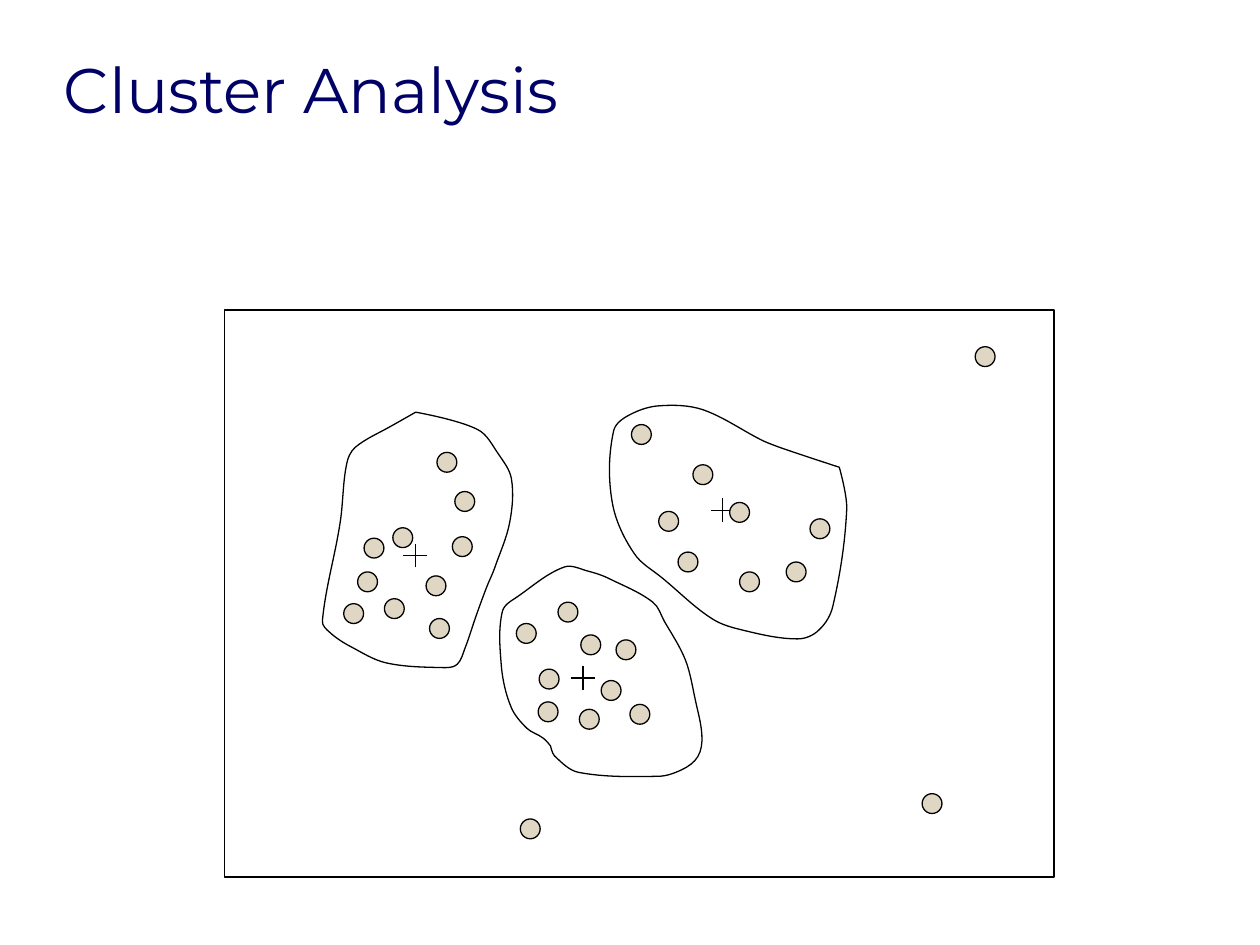
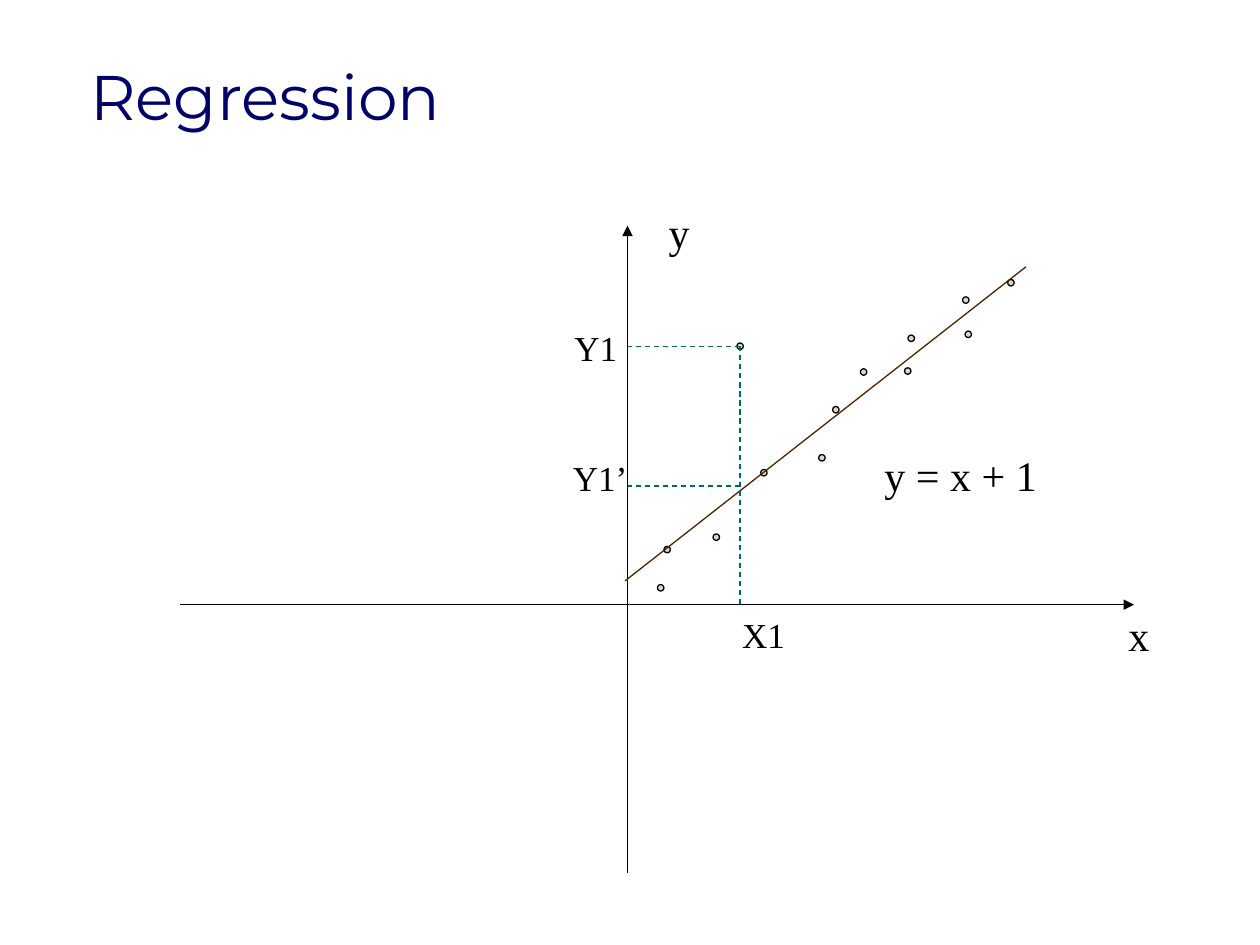
import math

import pptx
import pptx.util
import pptx.dml.color
import pptx.enum.dml
import pptx.enum.shapes
import pptx.enum.text
import pptx.oxml.ns
import lxml.etree

Cm, Pt = pptx.util.Cm, pptx.util.Pt
RGB = pptx.dml.color.RGBColor.from_string
qn = pptx.oxml.ns.qn
SHAPE = pptx.enum.shapes.MSO_SHAPE

# Shared look; all positions below are in cm
COLORS = {"title": "000066", "ink": "000000", "dot": "DFD6C3",
          "fit": "482400", "guide": "006666"}
LINE_WIDTH = Pt(0.74)
TITLE_FONT, LABEL_FONT = "Montserrat", "Times New Roman"


def add_text(s, text, box, size, font, color):
    """Add a one-line text box; box is left, top, width, height in cm."""
    sp = s.shapes.add_textbox(*[Cm(v) for v in box])
    tf = sp.text_frame
    tf.word_wrap = False
    tf.text = text
    r = tf.paragraphs[0].runs[0]
    r.font.size = Pt(size)
    r.font.name = font
    r.font.color.rgb = RGB(COLORS[color])
    return tf


def add_line(s, start, end, color="ink", dashed=False, arrow=False):
    """Add a straight line between two (x, y) points in cm."""
    ln = s.shapes.add_connector(pptx.enum.shapes.MSO_CONNECTOR.STRAIGHT,
                                *[Cm(v) for v in start + end])
    ln.line.color.rgb = RGB(COLORS[color])
    ln.line.width = LINE_WIDTH
    if dashed:
        ln.line.dash_style = pptx.enum.dml.MSO_LINE.DASH
    spPr = ln._element.spPr
    if arrow:
        lxml.etree.SubElement(spPr.find(qn("a:ln")), qn("a:tailEnd"), type="triangle")
    lxml.etree.SubElement(spPr, qn("a:effectLst"))


prs = pptx.Presentation()
prs.slide_width, prs.slide_height = Cm(25.4), Cm(19.05)

# Both slides and their titles
titles = [("Cluster Analysis", (1.04, 0.97, 12.07, 1.7)),
          ("Regression", (1.57, 1.35, 14.73, 1.47))]
for text, box in titles:
    s = prs.slides.add_slide(prs.slide_layouts[6])
    tf = add_text(s, text, box, 36, TITLE_FONT, "title")
    tf.word_wrap = True
    tf.vertical_anchor = pptx.enum.text.MSO_ANCHOR.BOTTOM
    tf.margin_top, tf.margin_bottom = 0, Cm(0.13)
cluster_slide, regression_slide = prs.slides

# ---- Slide 1: each cluster has a centre mark, member dots and an outline.
# An outline lists the points it passes through; the first one is a sharp corner.
clusters = {
    "left": {
        "centre": (8.37, 11.2),
        "dots": [(9.01, 9.32), (9.37, 10.11), (8.12, 10.84), (9.32, 11.02),
                 (7.54, 11.05), (7.41, 11.73), (8.79, 11.81), (7.95, 12.27),
                 (7.13, 12.37), (8.86, 12.67)],
        "outline": [(8.38, 8.31), (9.63, 8.66), (10.06, 9.17), (10.31, 9.65),
                    (10.27, 10.56), (9.98, 11.43), (9.83, 11.79), (9.58, 12.47),
                    (9.37, 13.08), (9.22, 13.39), (8.97, 13.46), (7.77, 13.36),
                    (7.06, 13.03), (6.65, 12.75), (6.5, 12.52), (6.86, 10.52),
                    (6.99, 9.35), (7.16, 9.02), (7.85, 8.61)]},
    "right": {
        "centre": (14.57, 10.29),
        "dots": [(12.93, 8.76), (14.17, 9.57), (14.91, 10.33), (13.48, 10.51),
                 (16.53, 10.66), (13.87, 11.33), (16.05, 11.53), (15.11, 11.73)],
        "outline": [(16.92, 9.42), (17.07, 10.26), (16.79, 12.22), (16.51, 12.7),
                    (16.08, 12.88), (14.96, 12.7), (14.35, 12.47), (13.36, 11.66),
                    (12.78, 11.15), (12.34, 10.11), (12.37, 8.69), (12.7, 8.36),
                    (13.31, 8.18), (14.17, 8.26), (15.39, 8.89), (15.72, 9.02)]},
    "lower": {
        "centre": (11.75, 13.67),
        "dots": [(11.45, 12.34), (10.61, 12.77), (11.91, 13), (12.62, 13.1),
                 (11.07, 13.69), (12.32, 13.92), (11.05, 14.35), (12.9, 14.4),
                 (11.88, 14.5)],
        "outline": [(11.1, 15.04), (10.95, 14.88), (10.62, 14.68), (10.31, 14.27),
                    (10.11, 13.46), (10.13, 12.32), (10.46, 12.01), (11.38, 11.43),
                    (11.84, 11.51), (12.27, 11.66), (13.16, 12.14), (13.39, 12.52),
                    (13.82, 13.31), (14.02, 14.12), (14.15, 14.83), (14.07, 15.25),
                    (13.74, 15.52), (13.26, 15.65), (11.66, 15.57), (11.18, 15.24)]},
}
outliers = [(19.86, 7.19), (18.79, 16.2), (10.69, 16.71)]
MARK_ARM = 0.24

frame = cluster_slide.shapes.add_shape(SHAPE.RECTANGLE, Cm(4.53), Cm(6.25),
                                       Cm(16.72), Cm(11.43))
hollow = [frame]
cluster_dots = list(outliers)
for cluster in clusters.values():
    cluster_dots += cluster["dots"]

    # Centre mark
    x, y = cluster["centre"]
    add_line(cluster_slide, (x - MARK_ARM, y), (x + MARK_ARM, y))
    add_line(cluster_slide, (x, y + MARK_ARM), (x, y - MARK_ARM))

    # The curve runs at each point parallel to the chord between its neighbours
    outline = cluster["outline"]
    count = len(outline)
    directions = [(0, 0)]
    for i in range(1, count):
        (x0, y0), (x1, y1) = outline[i - 1], outline[(i + 1) % count]
        length = math.hypot(x1 - x0, y1 - y0)
        directions.append(((x1 - x0) / length, (y1 - y0) / length))

    # Each curve has two handles, a third of its chord long, and an end point
    curve_points = []
    for i in range(count):
        j = (i + 1) % count
        (x0, y0), (x1, y1) = outline[i], outline[j]
        handle = math.hypot(x1 - x0, y1 - y0) / 3
        curve_points += [
            (x0 + handle * directions[i][0], y0 + handle * directions[i][1]),
            (x1 - handle * directions[j][0], y1 - handle * directions[j][1]),
            (x1, y1)]

    # Draw straight segments on a 0.01 cm grid, then join each three into a curve
    grid_points = [(round(100 * x), round(100 * y)) for x, y in outline[:1] + curve_points]
    builder = cluster_slide.shapes.build_freeform(*grid_points[0], scale=Cm(0.01))
    builder.add_line_segments(grid_points[1:], close=True)
    sp = builder.convert_to_shape()
    segments = list(sp._element.iter(qn("a:lnTo")))
    for i in range(0, len(segments), 3):
        curve = lxml.etree.Element(qn("a:cubicBezTo"))
        segments[i].addprevious(curve)
        for segment in segments[i:i + 3]:
            curve.append(segment[0])
            segment.getparent().remove(segment)
    hollow.append(sp)
for sp in hollow:
    sp.fill.background()

# ---- Slide 2: axes cross at the origin
origin_x, origin_y = 12.65, 12.19
add_line(regression_slide, (3.63, origin_y), (22.86, origin_y), arrow=True)
add_line(regression_slide, (origin_x, 17.6), (origin_x, 4.55), arrow=True)

x1, y1, y1_fitted = 14.92, 6.98, 9.8
regression_dots = [
    (x1, y1), (13.32, 11.85), (13.45, 11.08), (14.44, 10.83), (15.4, 9.53),
    (16.57, 9.23), (16.85, 8.26), (17.41, 7.5), (18.3, 7.48), (18.37, 6.82),
    (19.52, 6.74), (19.47, 6.05), (20.38, 5.7)]

# Dots of both slides, placed by their centres
outlined = list(hollow)
for s, kind, size, dots in [
        (cluster_slide, SHAPE.FLOWCHART_CONNECTOR, 0.4, cluster_dots),
        (regression_slide, SHAPE.OVAL, 0.13, regression_dots)]:
    for x, y in dots:
        sp = s.shapes.add_shape(kind, Cm(x - size / 2), Cm(y - size / 2),
                                Cm(size), Cm(size))
        sp.fill.solid()
        sp.fill.fore_color.rgb = RGB(COLORS["dot"])
        outlined.append(sp)
for sp in outlined:
    sp.line.color.rgb = RGB(COLORS["ink"])
    sp.line.width = LINE_WIDTH
    sp.shadow.inherit = False

# Fitted line, and guides from the point (X1, Y1) to the axes
add_line(regression_slide, (12.6, 11.71), (20.68, 5.38), "fit")
add_line(regression_slide, (x1, y1), (x1, origin_y), "guide", dashed=True)
for y in (y1, y1_fitted):
    add_line(regression_slide, (x1, y), (origin_x, y), "guide", dashed=True)

# Labels: text, left, top, width, size
LABEL_HEIGHTS = {24: 1.27, 20: 1.12}
labels = [("x", 22.5, 12.17, 0.91, 24), ("y", 13.23, 4.04, 0.91, 24),
          ("y = x + 1", 17.58, 8.94, 3.58, 24), ("X1", 14.71, 12.24, 1.37, 20),
          ("Y1", 11.33, 6.45, 1.37, 20), ("Y1’", 11.3, 9.07, 1.6, 20)]
for text, left, top, width, size in labels:
    box = (left, top, width, LABEL_HEIGHTS[size])
    add_text(regression_slide, text, box, size, LABEL_FONT, "ink")

prs.save("out.pptx")
